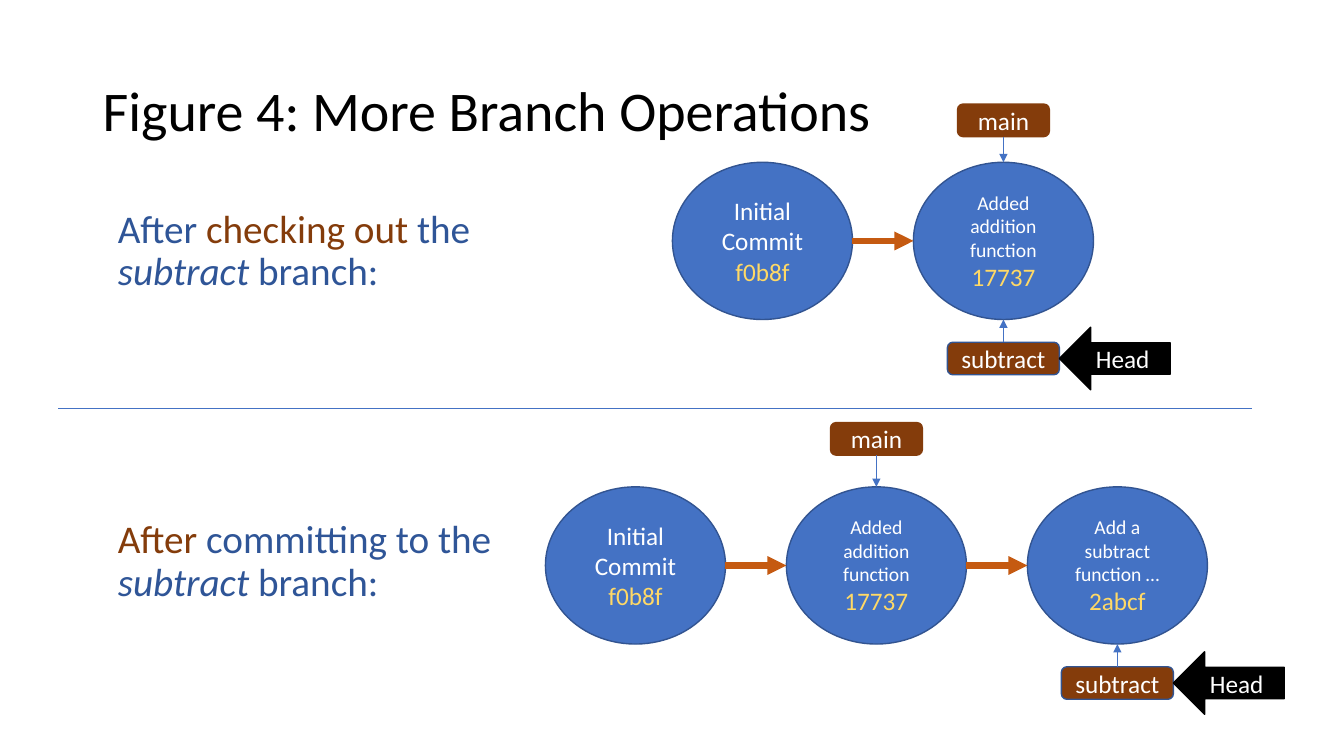
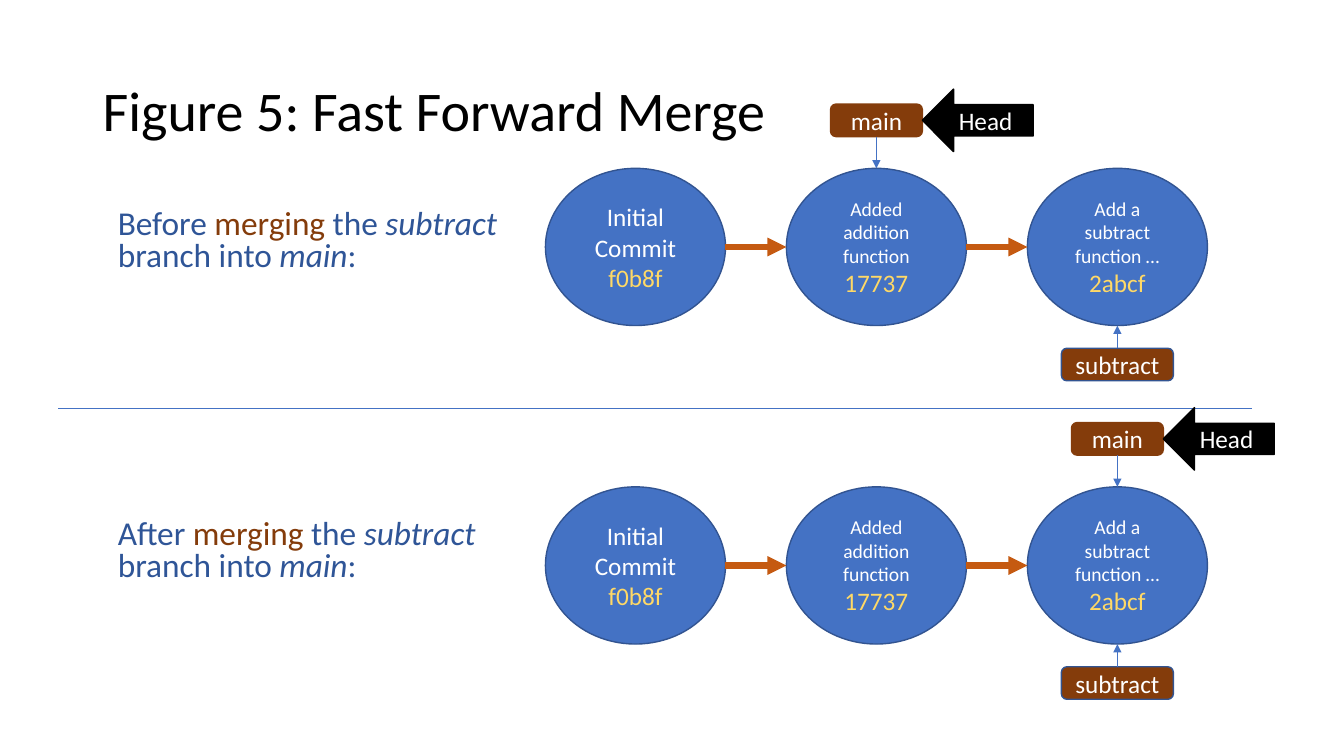
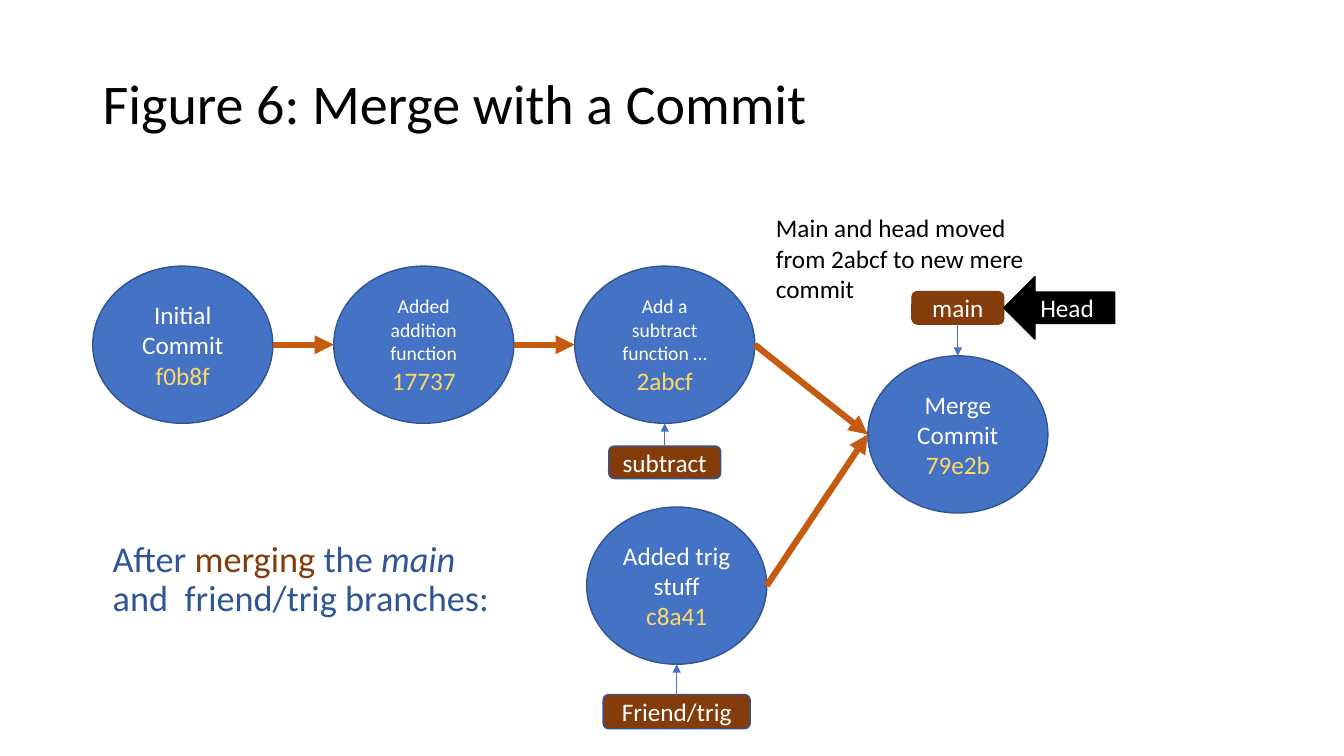
from dataclasses import dataclass

from lxml.etree import SubElement
from pptx import Presentation
from pptx.dml.color import RGBColor
from pptx.enum.shapes import MSO_CONNECTOR, MSO_SHAPE
from pptx.enum.text import MSO_ANCHOR, PP_ALIGN
from pptx.oxml.ns import qn
from pptx.util import Inches, Pt

WIDTH, HEIGHT = Inches(13.33), Inches(7.5)

COLORS = {
    "black": "000000", "white": "FFFFFF", "blue": "4472C4", "outline": "325491",
    "navy": "2F5597", "brown": "843C0B", "orange": "C55A11", "gold": "FFD966",
}
# Caption span styles: colour and italic
STYLES = {"plain": ("navy", False), "key": ("brown", False), "branch": ("navy", True)}

# Commits: name, name size, hash
COMMITS = {
    "initial": ("Initial Commit", 18, "f0b8f"),
    "addition": ("Added addition function", 14, "17737"),
    "subtract": ("Add a subtract function …", 14, "2abcf"),
    "trig": ("Added trig stuff", 18, "c8a41"),
    "merge": ("Merge Commit", 18, "79e2b"),
}
# Branch tags: width, height, outline
TAGS = {
    "main": (6.83, 4.3, "brown"),
    "subtract": (8.33, 4.3, "outline"),
    "Friend/trig": (10.95, 4.53, "outline"),
}

# Sizes in percent of the slide
COMMIT_WIDTH, COMMIT_HEIGHT, COMMIT_PITCH = 13.4, 20.8, 17.93
HEAD_WIDTH, HEAD_HEIGHT = 8.25, 8.27
MAIN_GAP, BRANCH_GAP = 4.2, 3


@dataclass
class Box:
    """A region of the slide, in percent of its width and height."""
    left: float
    top: float
    width: float
    height: float

    def point(self, across, down):
        return self.left + across * self.width, self.top + down * self.height

    def lengths(self):
        return (*to_emu(self.left, self.top), *to_emu(self.width, self.height))


def to_emu(x, y):
    return int(WIDTH * x / 100), int(HEIGHT * y / 100)


def rgb(name):
    return RGBColor.from_string(COLORS[name])


# Basic parts
def add_span(para, text, size, color, italic=False):
    span = para.add_run()
    span.text = text
    values = {"name": "Calibri", "size": Pt(size), "italic": italic}
    for name, value in values.items():
        setattr(span.font, name, value)
    span.font.color.rgb = rgb(color)


def add_text(page, box, spans, anchor=MSO_ANCHOR.TOP, **para_values):
    frame = page.shapes.add_textbox(*box.lengths()).text_frame
    frame.word_wrap = True
    frame.vertical_anchor = anchor
    para = frame.paragraphs[0]
    for name, value in para_values.items():
        setattr(para, name, value)
    for span in spans:
        add_span(para, *span)


def add_label(page, kind, box, fill, outline, lines):
    shape = page.shapes.add_shape(kind, *box.lengths())
    shape.shadow.inherit = False
    shape.fill.solid()
    shape.fill.fore_color.rgb = rgb(fill)
    shape.line.color.rgb = rgb(outline)
    shape.line.width = Pt(1)
    frame = shape.text_frame
    frame.word_wrap = True
    frame.vertical_anchor = MSO_ANCHOR.MIDDLE
    for index, line in enumerate(lines):
        para = frame.add_paragraph() if index else frame.paragraphs[0]
        para.alignment = PP_ALIGN.CENTER
        add_span(para, *line)


def add_line(page, start, end, color="blue", weight=0.5, arrow=True):
    line = page.shapes.add_connector(
        MSO_CONNECTOR.STRAIGHT, *to_emu(*start), *to_emu(*end))
    line.line.color.rgb = rgb(color)
    line.line.width = Pt(weight)
    if arrow:
        SubElement(line.line._get_or_add_ln(), qn("a:tailEnd"), type="triangle")
    SubElement(line._element.spPr, qn("a:effectLst"))


# Parts of the commit graph
def add_commit(page, left, top, key):
    name, size, code = COMMITS[key]
    box = Box(left, top, COMMIT_WIDTH, COMMIT_HEIGHT)
    add_label(page, MSO_SHAPE.OVAL, box, "blue", "outline",
              [(name, size, "white"), (code, 18, "gold")])
    return box


def link_commits(page, parent, child):
    add_line(page, parent.point(1, 0.5), child.point(0, 0.5), "orange", 4.5)


def add_chain(page, left, top, keys):
    """Draws a row of linked commits and returns their boxes."""
    boxes = [add_commit(page, left + COMMIT_PITCH * column, top, key)
             for column, key in enumerate(keys)]
    for parent, child in zip(boxes, boxes[1:]):
        link_commits(page, parent, child)
    return boxes


def add_tag(page, commit, name, gap=BRANCH_GAP, above=False, head=False):
    """Points a branch tag at a commit, with the head arrow if wanted."""
    width, height, outline = TAGS[name]
    side = 0 if above else 1
    middle, edge = commit.point(0.5, side)
    top = edge - gap - height if above else edge + gap
    box = Box(middle - width / 2, top, width, height)
    add_label(page, MSO_SHAPE.ROUNDED_RECTANGLE, box, "brown", outline,
              [(name, 18, "white")])
    add_line(page, box.point(0.5, 1 - side), (middle, edge))
    if head:
        right, center = box.point(1, 0.5)
        add_label(page, MSO_SHAPE.LEFT_ARROW,
                  Box(right, center - HEAD_HEIGHT / 2, HEAD_WIDTH, HEAD_HEIGHT),
                  "black", "black", [("Head", 18, "white")])


# Shared slide parts
def add_page(deck, title, top=5.33):
    page = deck.slides.add_slide(deck.slide_layouts[6])
    add_text(page, Box(6.9, top, 86.25, 19.33), [(title, 40, "black")],
             MSO_ANCHOR.MIDDLE, line_spacing=0.9)
    return page


def add_caption(page, left, top, size, spacing, spans):
    add_text(page, Box(left, top, 30.15, 13.2),
             [(text, size, *STYLES[style]) for text, style in spans],
             line_spacing=spacing, space_before=Pt(10))


def add_divider(page):
    add_line(page, (4.35, 54), (93.17, 54), arrow=False)


# Slides
def build_branch_operations(deck):
    page = add_page(deck, "Figure 4: More Branch Operations")
    add_divider(page)
    ending = [("subtract", "branch"), (" branch:", "plain")]
    add_caption(page, 8.03, 27.07, 28, 0.9, [
        ("After ", "plain"), ("checking out", "key"), (" the ", "plain"), *ending])
    add_caption(page, 8.03, 68.13, 28, 0.9, [
        ("After", "key"), (" committing to the ", "plain"), *ending])

    _, tip = add_chain(page, 50.03, 21.47, ["initial", "addition"])
    add_tag(page, tip, "main", 3.4, above=True)
    add_tag(page, tip, "subtract", head=True)

    _, addition, tip = add_chain(page, 40.58, 64.4, ["initial", "addition", "subtract"])
    add_tag(page, addition, "main", MAIN_GAP, above=True)
    add_tag(page, tip, "subtract", head=True)


def build_fast_forward(deck):
    page = add_page(deck, "Figure 5: Fast Forward Merge")
    add_divider(page)
    # Moment, caption top, chain top, column of main
    for moment, caption_top, chain_top, main_column in [
            ("Before ", 27.07, 22.27, 1), ("After ", 68.13, 64.4, 2)]:
        add_caption(page, 8.03, caption_top, 23.8, 0.8, [
            (moment, "plain"), ("merging ", "key"), ("the ", "plain"),
            ("subtract", "branch"), (" branch into ", "plain"),
            ("main", "branch"), (":", "plain")])
        chain = add_chain(page, 40.58, chain_top, ["initial", "addition", "subtract"])
        add_tag(page, chain[main_column], "main", MAIN_GAP, above=True, head=True)
        add_tag(page, chain[-1], "subtract")


def build_merge_commit(deck):
    page = add_page(deck, "Figure 6: Merge with a Commit", 4.4)
    subtract = add_chain(page, 6.9, 35.2, ["initial", "addition", "subtract"])[-1]
    trig = add_commit(page, 43.65, 67.07, "trig")
    merge = add_commit(page, 64.57, 47.07, "merge")
    for parent in (subtract, trig):
        link_commits(page, parent, merge)
    add_tag(page, subtract, "subtract")
    add_tag(page, trig, "Friend/trig", 4)
    add_tag(page, merge, "main", MAIN_GAP, above=True, head=True)
    add_caption(page, 7.65, 70.93, 25.9, 0.9, [
        ("After ", "plain"), ("merging ", "key"), ("the ", "plain"),
        ("main", "branch"), (" and  friend/trig branches:", "plain")])
    add_text(page, Box(57, 27.47, 21.75, 13.47), [
        ("Main and head moved from 2abcf to new mere commit", 18, "black")])


def main():
    deck = Presentation()
    deck.slide_width, deck.slide_height = WIDTH, HEIGHT
    build_branch_operations(deck)
    build_fast_forward(deck)
    build_merge_commit(deck)
    deck.save("out.pptx")


if __name__ == "__main__":
    main()
